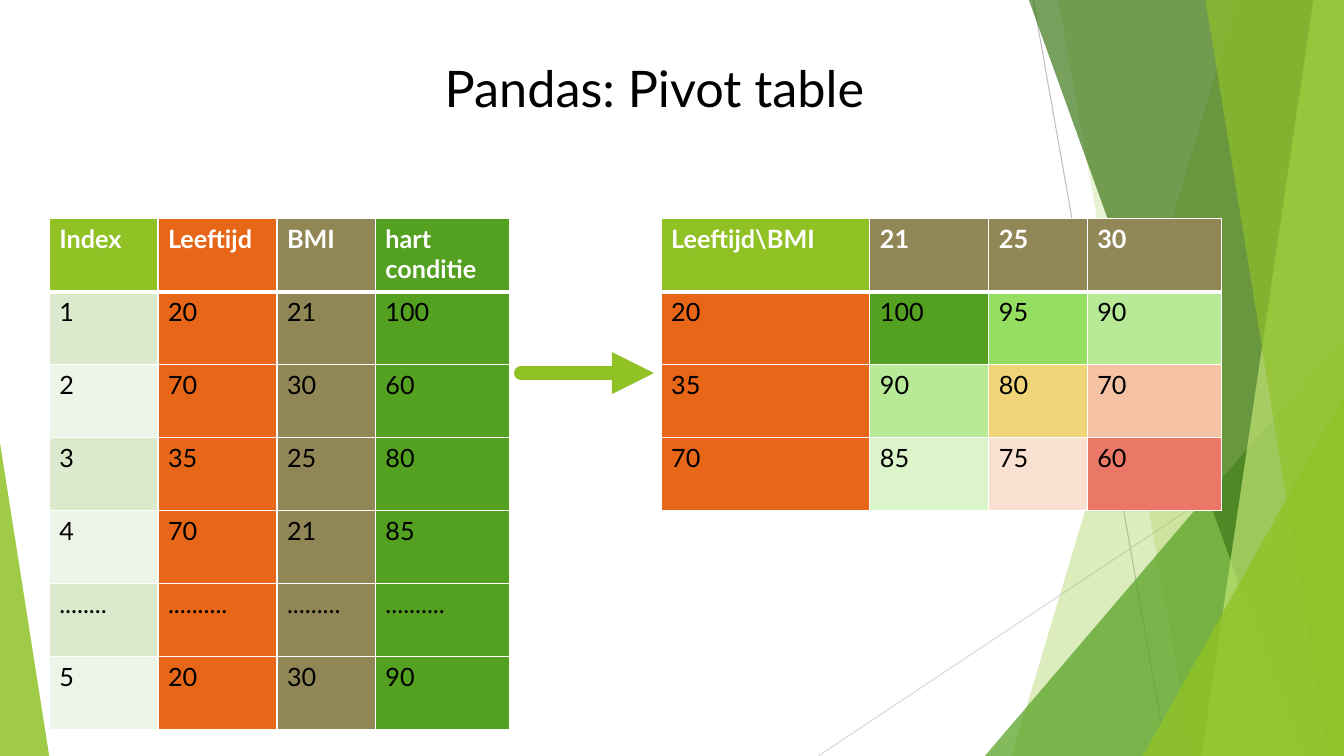
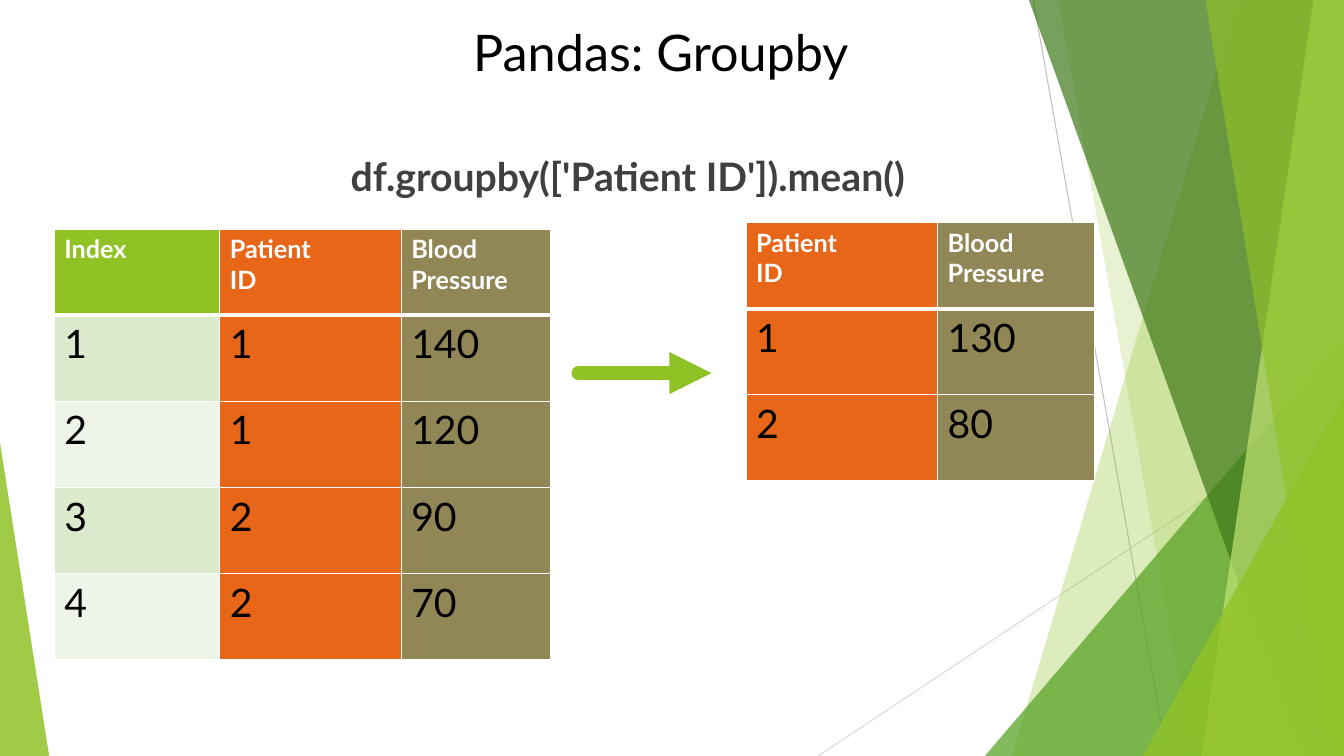
from dataclasses import dataclass
from itertools import cycle

from pptx import Presentation
from pptx.dml.color import RGBColor
from pptx.enum.shapes import MSO_CONNECTOR, MSO_SHAPE
from pptx.enum.text import MSO_ANCHOR, MSO_AUTO_SIZE, PP_ALIGN
from pptx.oxml.ns import qn
from pptx.slide import Slide, SlideLayout
from pptx.text.text import TextFrame
from pptx.util import Cm, Pt
from lxml import etree

STRAIGHT = MSO_CONNECTOR.STRAIGHT
TRIANGLE = MSO_SHAPE.ISOSCELES_TRIANGLE
TOP = MSO_ANCHOR.TOP
NO_FIT = MSO_AUTO_SIZE.NONE
LEFT, CENTER = PP_ALIGN.LEFT, PP_ALIGN.CENTER

SLIDE_W, SLIDE_H = 33.87, 19.05
TITLE_ONLY = 5
FONT = "Lato"
WHITE, BLACK, DARK_GREY = "FFFFFF", "000000", "404040"
LIME, GREEN, FOREST, PALE_LIME = "90C226", "54A021", "3F7819", "C0E474"
ORANGE, OLIVE = "E76618", "918655"
STRIPES = ("DBE9CD", "EEF4E8")
SCORE_FILLS = {
    100: GREEN, 95: "94DE61", 90: "B7E996", 85: "DBF4CA",
    80: "F0D578", 75: "FAE0D1", 70: "F5C2A3", 60: "EB7766",
}


@dataclass(frozen=True)
class Ray:
    start: tuple[float, float]
    end: tuple[float, float]
    color: str


@dataclass(frozen=True)
class Band:
    """Area from a slanted left edge to the right side of the slide."""
    top_x: float
    bottom_x: float
    color: str
    opacity: int


@dataclass(frozen=True)
class Wedge:
    """Triangle standing on the bottom of the slide; apex 0 is left, 1 right."""
    left: float
    top: float
    width: float
    apex: int
    color: str
    opacity: int


@dataclass(frozen=True)
class Column:
    header: str
    width: float
    color: str
    values: tuple
    body_fills: tuple[str, ...] = ()


@dataclass(frozen=True)
class DataTable:
    left: float
    top: float
    row_height: float
    body_size: int
    columns: tuple[Column, ...]


BACKDROP = (
    Ray((26.04, 0), (29.41, SLIDE_H), "BFBFBF"),
    Ray((SLIDE_W, 10.24), (20.62, SLIDE_H), "D9D9D9"),
    Band(31.19, 25.5, LIME, 30),
    Band(26.67, 30.05, LIME, 20),
    Wedge(24.82, 8.46, SLIDE_W - 24.82, 1, GREEN, 72),
    Band(25.93, 32.79, FOREST, 70),
    Band(33.1, 30.28, PALE_LIME, 70),
    Band(30.38, 33.48, LIME, 65),
    Wedge(28.8, 9.98, SLIDE_W - 28.8, 1, LIME, 80),
    Wedge(0, 11.15, 1.24, 0, LIME, 85),
)


def score_column(header: str, width: float, scores: tuple[int, ...]) -> Column:
    """Column whose cells are coloured by their score."""
    return Column(header, width, OLIVE, scores, tuple(SCORE_FILLS[score] for score in scores))


PATIENTS = DataTable(1.24, 5.51, 1.84, 18, (
    Column("Index", 2.74, LIME, (1, 2, 3, 4, "........", 5), STRIPES),
    Column("Leeftijd", 3, ORANGE, (20, 70, 35, 70, "..........", 20)),
    Column("BMI", 2.48, OLIVE, (21, 30, 25, 21, ".........", 30)),
    Column("hart\nconditie", 3.38, GREEN, (100, 60, 80, 85, "..........", 90)),
))
PIVOT = DataTable(16.66, 5.51, 1.84, 18, (
    Column(r"Leeftijd\BMI", 5.26, LIME, (20, 35, 70), (ORANGE,)),
    score_column("21", 3, (100, 90, 85)),
    score_column("25", 2.48, (95, 80, 75)),
    score_column("30", 3.38, (90, 70, 60)),
))
MEASUREMENTS = DataTable(1.37, 5.77, 2.17, 28, (
    Column("Index", 4.17, LIME, (1, 2, 3, 4), STRIPES),
    Column("Patient\nID", 4.57, ORANGE, (1, 1, 2, 2)),
    Column("Blood\nPressure", 3.76, OLIVE, (140, 120, 90, 70)),
))
MEANS = DataTable(18.8, 5.61, 2.17, 28, (
    Column("Patient\nID", 4.83, ORANGE, (1, 2)),
    Column("Blood\nPressure", 3.96, OLIVE, (130, 80)),
))


def rgb(color: str) -> RGBColor:
    return RGBColor.from_string(color)


def write(frame: TextFrame, text: str, *, size: int, color: str = BLACK,
          bold: bool = False, align: PP_ALIGN = LEFT) -> None:
    frame.text = text
    for paragraph in frame.paragraphs:
        paragraph.alignment = align
        for run in paragraph.runs:
            run.font.name = FONT
            run.font.size = Pt(size)
            run.font.bold = bold
            run.font.color.rgb = rgb(color)


def add_line(slide: Slide, start: tuple[float, float], end: tuple[float, float],
             color: str, width: float, arrow: bool = False) -> None:
    connector = slide.shapes.add_connector(STRAIGHT, *map(Cm, start + end))
    connector.line.color.rgb = rgb(color)
    connector.line.width = Pt(width)
    properties = connector.element.spPr
    if arrow:
        outline = properties.find(qn("a:ln"))
        outline.set("cap", "rnd")
        etree.SubElement(outline, qn("a:tailEnd"), type="triangle")
    etree.SubElement(properties, qn("a:effectLst"))


def add_backdrop_part(slide: Slide, part: Ray | Band | Wedge) -> None:
    if isinstance(part, Ray):
        add_line(slide, part.start, part.end, part.color, 0.75)
        return
    if isinstance(part, Band):
        outline = slide.shapes.build_freeform(Cm(part.top_x), 0)
        corners = ((SLIDE_W, 0), (SLIDE_W, SLIDE_H), (part.bottom_x, SLIDE_H))
        outline.add_line_segments([(Cm(x), Cm(y)) for x, y in corners], close=True)
        area = outline.convert_to_shape()
    else:
        area = slide.shapes.add_shape(TRIANGLE, Cm(part.left), Cm(part.top),
                                      Cm(part.width), Cm(SLIDE_H - part.top))
        area.adjustments[0] = part.apex
    area.shadow.inherit = False
    area.fill.solid()
    area.fill.fore_color.rgb = rgb(part.color)
    fill_color = area.element.spPr.find(f"{qn('a:solidFill')}/{qn('a:srgbClr')}")
    etree.SubElement(fill_color, qn("a:alpha"), val=str(part.opacity * 1000))
    area.line.fill.background()


def move_backdrop_to_layout(slide: Slide, layout: SlideLayout) -> None:
    """Draw the backdrop on a slide and hand it to the layout, behind its title."""
    for placeholder in list(layout.placeholders):
        if placeholder.placeholder_format.idx != 0:
            layout.shapes.element.remove(placeholder.element)
    for part in BACKDROP:
        add_backdrop_part(slide, part)
    title = next(iter(layout.placeholders)).element
    for shape in list(slide.shapes):
        if not shape.is_placeholder:
            title.addprevious(shape.element)


def add_titled_slide(deck: Presentation, title: str, left: float, top: float) -> Slide:
    slide = deck.slides.add_slide(deck.slide_layouts[TITLE_ONLY])
    heading = slide.shapes.title
    heading.left, heading.top = Cm(left), Cm(top)
    heading.width, heading.height = Cm(32.59), Cm(2.54)
    heading.text_frame.vertical_anchor = TOP
    heading.text_frame.auto_size = NO_FIT
    write(heading.text_frame, title, size=36, align=CENTER)
    return slide


def set_borders(cell, top: float, bottom: float) -> None:
    """White cell edges; the side edges are 1 pt."""
    properties = cell._tc.get_or_add_tcPr()
    edges = {"a:lnL": 1, "a:lnR": 1, "a:lnT": top, "a:lnB": bottom}
    for position, (tag, width) in enumerate(edges.items()):
        edge = etree.Element(qn(tag), w=str(Pt(width)))
        fill = etree.SubElement(edge, qn("a:solidFill"))
        etree.SubElement(fill, qn("a:srgbClr"), val=WHITE)
        properties.insert(position, edge)


def add_data_table(slide: Slide, data: DataTable) -> None:
    row_count = len(data.columns[0].values) + 1
    width = sum(column.width for column in data.columns)
    table = slide.shapes.add_table(row_count, len(data.columns), Cm(data.left), Cm(data.top),
                                   Cm(width), Cm(data.row_height * row_count)).table
    for row in table.rows:
        row.height = Cm(data.row_height)
    for column_index, column in enumerate(data.columns):
        table.columns[column_index].width = Cm(column.width)
        body_fills = cycle(column.body_fills or (column.color,))
        for row_index, value in enumerate((column.header, *column.values)):
            is_header = row_index == 0
            cell = table.cell(row_index, column_index)
            cell.fill.solid()
            cell.fill.fore_color.rgb = rgb(column.color if is_header else next(body_fills))
            set_borders(cell, top=3 if row_index == 1 else 1, bottom=3 if is_header else 1)
            write(cell.text_frame, str(value), size=18 if is_header else data.body_size,
                  color=WHITE if is_header else BLACK, bold=is_header)


def add_result_arrow(slide: Slide, left: float) -> None:
    add_line(slide, (left, 9.4), (left + 3.35, 9.4), LIME, 10, arrow=True)


def build_pivot_slide(deck: Presentation) -> Slide:
    slide = add_titled_slide(deck, "Pandas: Pivot table", 0.2, 1.3)
    add_data_table(slide, PATIENTS)
    add_data_table(slide, PIVOT)
    add_result_arrow(slide, 13.13)
    return slide


def build_groupby_slide(deck: Presentation) -> Slide:
    slide = add_titled_slide(deck, "Pandas: Groupby", 0.36, 0.41)
    add_data_table(slide, MEASUREMENTS)
    add_result_arrow(slide, 14.58)
    command = slide.shapes.add_textbox(Cm(8.59), Cm(3.71), Cm(16.03), Cm(1.45))
    command.text_frame.word_wrap = True
    write(command.text_frame, "df.groupby(['Patient ID']).mean()",
          size=28, color=DARK_GREY, bold=True)
    add_data_table(slide, MEANS)
    return slide


def main() -> None:
    deck = Presentation()
    deck.slide_width, deck.slide_height = Cm(SLIDE_W), Cm(SLIDE_H)
    layout = deck.slide_layouts[TITLE_ONLY]
    draft = add_titled_slide(deck, "Pandas: Pivot table", 0.2, 1.3)
    move_backdrop_to_layout(draft, layout)
    add_data_table(draft, PATIENTS)
    add_data_table(draft, PIVOT)
    add_result_arrow(draft, 13.13)
    build_groupby_slide(deck)
    deck.save("out.pptx")


if __name__ == "__main__":
    main()
